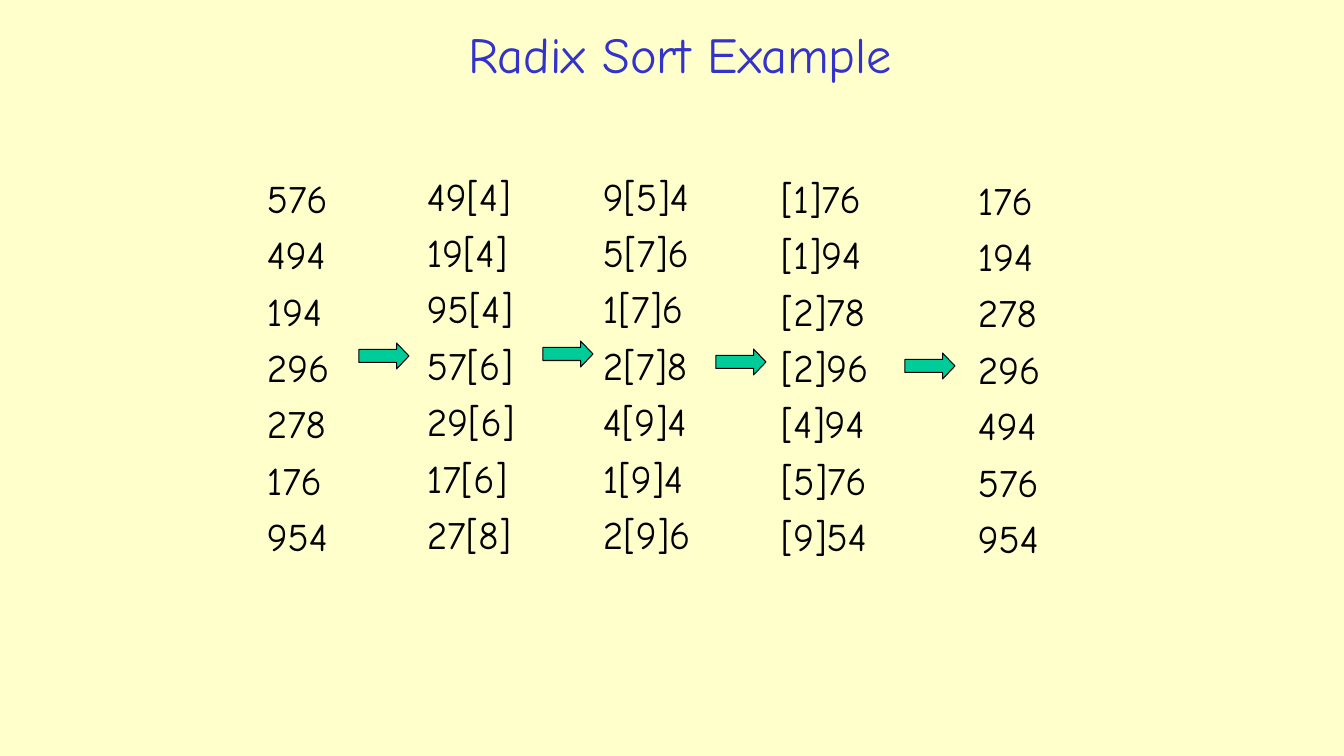
"""Build the radix sort example slide."""
from pptx import Presentation
from pptx.dml.color import RGBColor
from pptx.enum.shapes import MSO_SHAPE
from pptx.enum.text import MSO_ANCHOR, PP_ALIGN
from pptx.util import Pt

PX = 914400 / 100.8
BACKGROUND = RGBColor(0xFF, 0xFF, 0xCC)
TITLE_BLUE = RGBColor(0x33, 0x33, 0xCC)
ARROW_GREEN = RGBColor(0x00, 0xCC, 0x99)
BLACK = RGBColor(0x00, 0x00, 0x00)

COLUMNS = [
    (257, 169, 98, "576 494 194 296 278 176 954"),
    (417, 167, 125, "49[4] 19[4] 95[4] 57[6] 29[6] 17[6] 27[8]"),
    (593, 167, 131, "9[5]4 5[7]6 1[7]6 2[7]8 4[9]4 1[9]4 2[9]6"),
    (771, 169, 123, "[1]76 [1]94 [2]78 [2]96 [4]94 [5]76 [9]54"),
    (968, 171, 98, "176 194 278 296 494 576 954"),
]
ARROWS = [(359, 343), (543, 341), (716, 349), (905, 353)]


def px(*lengths):
    return [round(length * PX) for length in lengths]


def write(para, text, size, color, align=PP_ALIGN.LEFT, before=0):
    para.alignment = align
    para.space_before = Pt(before)
    span = para.add_run()
    span.text = text
    span.font.name = "Comic Neue"
    span.font.size = Pt(size)
    span.font.color.rgb = color


deck = Presentation()
deck.slide_width, deck.slide_height = px(1344, 756)
page = deck.slides.add_slide(deck.slide_layouts[5])
page.background.fill.solid()
page.background.fill.fore_color.rgb = BACKGROUND

title = page.shapes.title
title.left, title.top, title.width, title.height = px(199, 15, 962, 77)
title.text_frame.vertical_anchor = MSO_ANCHOR.MIDDLE
write(title.text_frame.paragraphs[0], "Radix Sort Example", 36, TITLE_BLUE, align=PP_ALIGN.CENTER)

for left, top, width, numbers in COLUMNS:
    box = page.shapes.add_textbox(*px(left, top, width, 497))
    frame = box.text_frame
    frame.word_wrap = True
    for row, number in enumerate(numbers.split()):
        para = frame.add_paragraph() if row else frame.paragraphs[0]
        write(para, number, 28, BLACK, before=6.7 if row else 0)

for left, top in ARROWS:
    arrow = page.shapes.add_shape(MSO_SHAPE.RIGHT_ARROW, *px(left, top, 50, 26))
    arrow.adjustments[1] = 0.477
    arrow.shadow.inherit = False
    arrow.fill.solid()
    arrow.fill.fore_color.rgb = ARROW_GREEN
    arrow.line.color.rgb = BLACK
    arrow.line.width = Pt(0.75)

deck.save("out.pptx")
